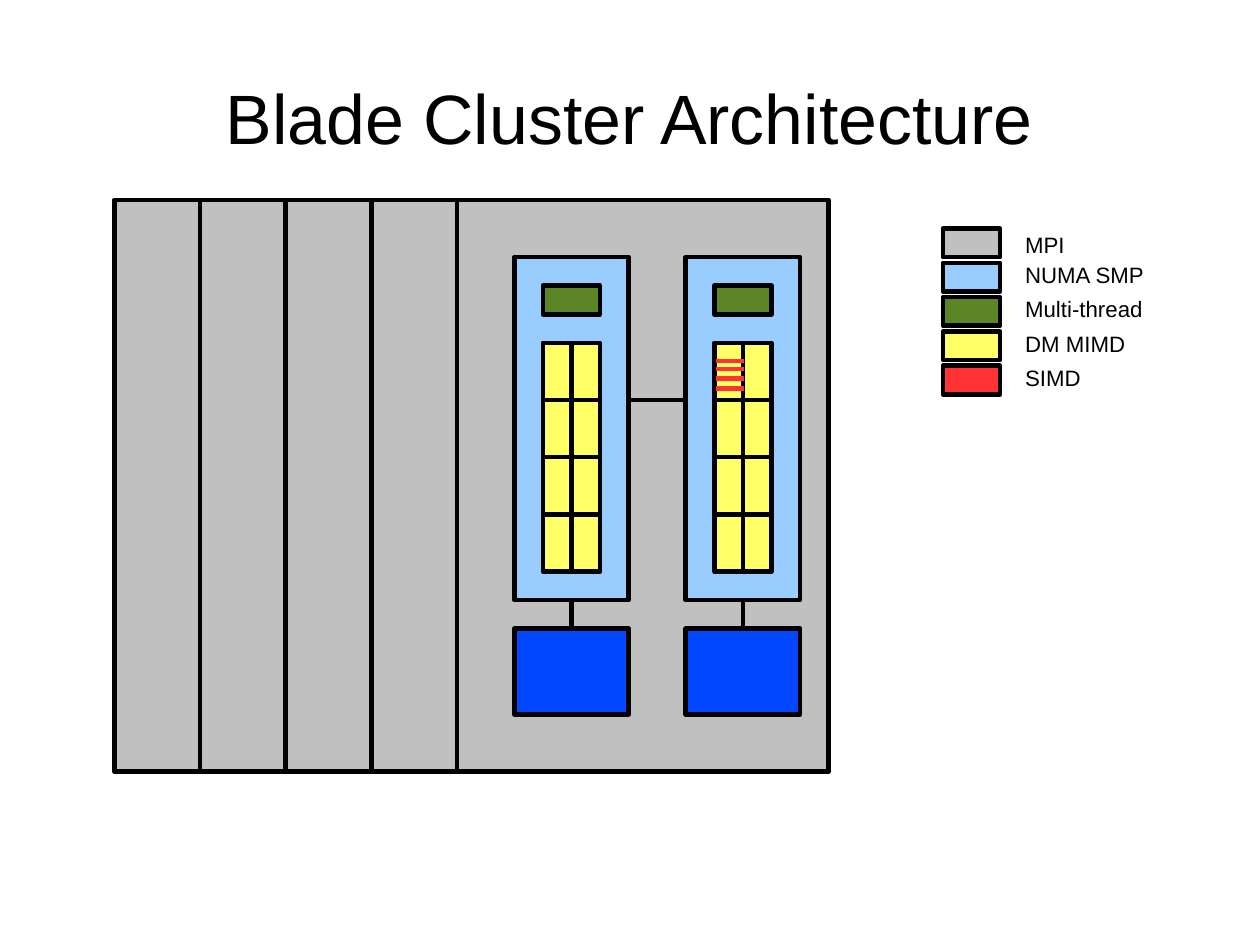
from lxml import etree
from pptx import Presentation
from pptx.dml.color import RGBColor
from pptx.enum.shapes import MSO_CONNECTOR as Link, MSO_SHAPE as Shape
from pptx.enum.text import MSO_ANCHOR as Anchor, PP_ALIGN as Align
from pptx.oxml.ns import qn
from pptx.util import Cm, Inches, Pt

TITLE = "Blade Cluster Architecture"
COLORS = {
    "black": "000000", "gray": "C0C0C0", "sky": "99CCFF", "green": "5C8526",
    "yellow": "FFFF66", "red": "FF3333", "blue": "0047FF",
}
# label, colour, text top
LEGEND = [
    ("MPI", "gray", 1.97),
    ("NUMA SMP", "sky", 2.24),
    ("Multi-thread", "green", 2.53),
    ("DM MIMD", "yellow", 2.84),
    ("SIMD", "red", 3.14),
]
BLADES = [1.75, 2.5, 3.25, 4]
NODES = [4.5, 6]
LANES = [3.16, 3.23, 3.31, 3.4]
STROKE = 2.89

deck = Presentation()
deck.slide_width, deck.slide_height = Cm(28), Cm(21)
slide = deck.slides.add_slide(deck.slide_layouts[6])
shapes = slide.shapes


def rgb(name):
    return RGBColor.from_string(COLORS[name])


def add_box(x, y, w, h, color):
    box = shapes.add_shape(Shape.RECTANGLE, Inches(x), Inches(y), Inches(w), Inches(h))
    box.shadow.inherit = False
    box.fill.solid()
    box.fill.fore_color.rgb = rgb(color)
    box.line.color.rgb = rgb("black")
    box.line.width = Pt(STROKE)
    return box


def add_line(x1, y1, x2, y2, color="black", width=STROKE):
    line = shapes.add_connector(Link.STRAIGHT, Inches(x1), Inches(y1), Inches(x2), Inches(y2))
    line.line.color.rgb = rgb(color)
    line.line.width = Pt(width)
    etree.SubElement(line._element.spPr, qn("a:effectLst"))
    return line


def add_text(x, y, w, h, text, size):
    area = shapes.add_textbox(Inches(x), Inches(y), Inches(w), Inches(h))
    frame = area.text_frame
    frame.word_wrap = True
    run = frame.paragraphs[0].add_run()
    run.text = text
    run.font.name = "Arial"
    run.font.size = Pt(size)
    run.font.color.rgb = rgb("black")
    return frame


def add_node(x):
    """Draw a socket with its thread unit, 2 by 4 cores and memory."""
    socket = add_box(x, 2.25, 1, 3, "sky")
    add_box(x + 0.25, 2.5, 0.5, 0.25, "green")
    for row in range(4):
        for col in range(2):
            add_box(x + 0.25 + col * 0.25, 3 + row * 0.5, 0.25, 0.5, "yellow")
    memory = add_box(x, 5.5, 1, 0.75, "blue")
    bus = add_line(x + 0.5, 5.25, x + 0.5, 5.5)
    bus.begin_connect(socket, 2)
    bus.end_connect(memory, 0)


head = add_text(0.55, 0.38, 9.92, 1.28, TITLE, 44)
head.vertical_anchor = Anchor.MIDDLE
head.margin_left = head.margin_right = head.margin_top = head.margin_bottom = 0
head.paragraphs[0].alignment = Align.CENTER

add_box(1, 1.75, 6.25, 5, "gray")
for x in BLADES:
    add_line(x, 6.75, x, 1.75)
add_line(6, 3.5, 5.5, 3.5, width=2.15)
for x in NODES:
    add_node(x)
for y in LANES:
    add_line(6.26, y, 6.51, y, "red")

for i, (label, color, top) in enumerate(LEGEND):
    add_box(8.25, 2 + i * 0.3, 0.5, 0.25, color)
    add_text(8.87, top, 1.4, 0.32, label, 14)

deck.save("out.pptx")
